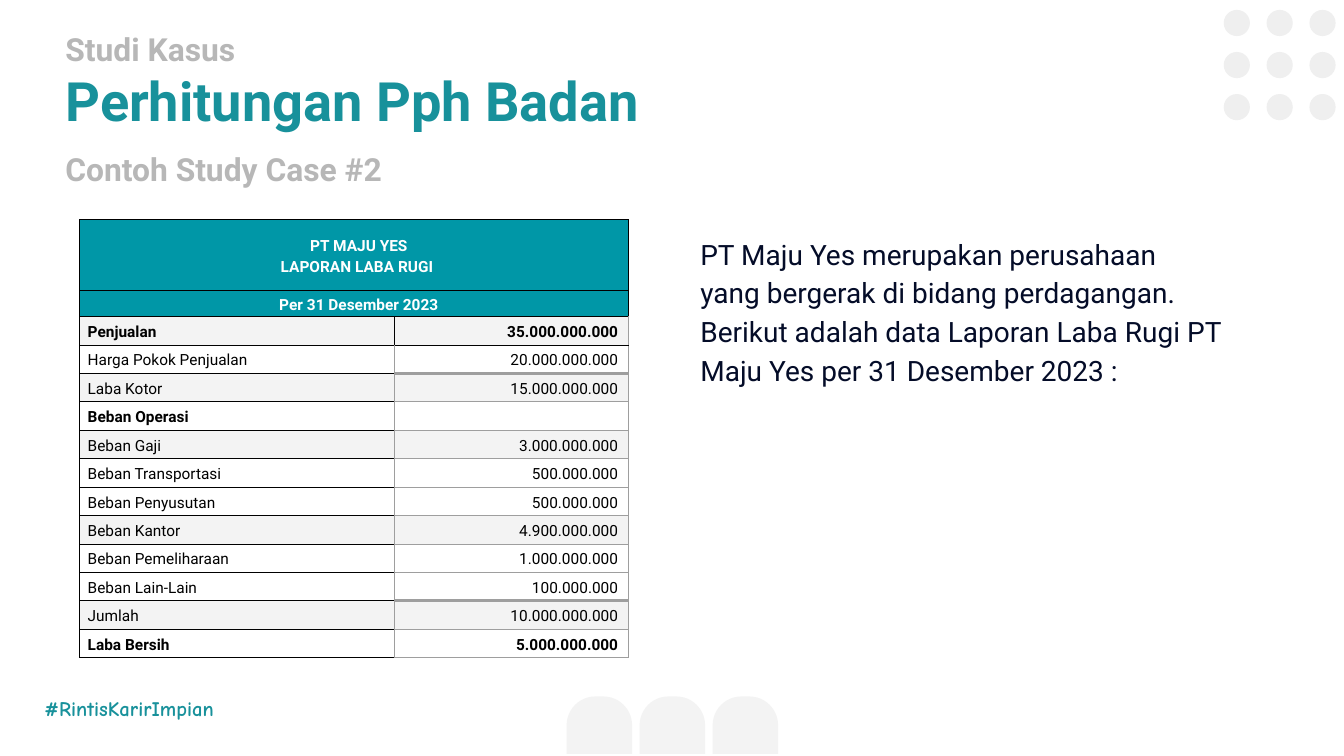
from lxml.etree import SubElement
from pptx import Presentation
from pptx.dml.color import RGBColor
from pptx.enum.shapes import MSO_SHAPE as SHAPE
from pptx.enum.text import MSO_ANCHOR as ANCHOR, MSO_AUTO_SIZE as AUTO, PP_ALIGN as ALIGN
from pptx.oxml.ns import qn
from pptx.util import Cm, Pt

TEAL = RGBColor(0x18, 0x91, 0x9B)
HEADER = RGBColor(0x00, 0x97, 0xA7)
GREY = RGBColor(0xB7, 0xB7, 0xB7)
NAVY = RGBColor(0x04, 0x0C, 0x28)
BLACK = RGBColor(0x00, 0x00, 0x00)
WHITE = RGBColor(0xFF, 0xFF, 0xFF)
SHADE = RGBColor(0xF3, 0xF3, 0xF3)
DOT = RGBColor(0xEF, 0xEF, 0xEF)
RULE = RGBColor(0x9E, 0x9E, 0x9E)


def write(sp, lines, auto=AUTO.SHAPE_TO_FIT_TEXT):
    """Fill a text frame with (text, size, colour, bold, font) lines."""
    tf = sp.text_frame
    tf.word_wrap, tf.auto_size = True, auto
    tf.margin_left = tf.margin_right = tf.margin_top = tf.margin_bottom = Cm(0.33)
    tf.vertical_anchor = ANCHOR.TOP
    tf.text = "\n".join(line[0] for line in lines)
    for p, (_, size, colour, bold, font) in zip(tf.paragraphs, lines):
        p.alignment = ALIGN.LEFT
        p.font.name, p.font.size, p.font.bold = font, Pt(size), bold
        p.font.color.rgb = colour
    return tf


def format_cell(cell, text, fill, colour, bold, align, indent, borders):
    """borders: (colour, points) for left, right, top and bottom."""
    cell.fill.solid()
    cell.fill.fore_color.rgb = fill
    cell.vertical_anchor = ANCHOR.MIDDLE
    cell.margin_left = cell.margin_top = cell.margin_bottom = 0
    cell.margin_right = Cm(0.25) if align == ALIGN.RIGHT else 0
    cell.text = text
    for p in cell.text_frame.paragraphs:
        p.alignment, p.line_spacing = align, 1.15
        p.font.name, p.font.size, p.font.bold = "Roboto", Pt(11), bold
        p.font.color.rgb = colour
        p._p.get_or_add_pPr().set("marL", str(indent))
        if not text:
            p._p.get_or_add_endParaRPr().set("sz", "1100")
    tcPr = cell._tc.get_or_add_tcPr()
    for i, (side, (line, width)) in enumerate(zip("LRTB", borders)):
        ln = SubElement(tcPr, qn(f"a:ln{side}"), w=str(Pt(width)))
        SubElement(SubElement(ln, qn("a:solidFill")), qn("a:srgbClr"), val=str(line))
        tcPr.insert(i, ln)


prs = Presentation()
prs.slide_width, prs.slide_height = Cm(33.87), Cm(19.05)
s = prs.slides.add_slide(prs.slide_layouts[5])

# Decoration: three tabs at the bottom, a 3 x 3 grid of dots at top right
tabs = [(SHAPE.ROUND_2_SAME_RECTANGLE, 14.28 + 1.84 * i, 17.55, 1.65, 1.45, SHADE)
        for i in range(3)]
dots = [(SHAPE.OVAL, 30.84 + 1.08 * col, 0.25 + 1.06 * row, 0.66, 0.66, DOT)
        for row in range(3) for col in range(3)]
for kind, x, y, w, h, colour in tabs + dots:
    sp = s.shapes.add_shape(kind, Cm(x), Cm(y), Cm(w), Cm(h))
    sp.shadow.inherit = False
    sp.fill.solid()
    sp.fill.fore_color.rgb = colour
    sp.line.fill.background()
    if kind == SHAPE.ROUND_2_SAME_RECTANGLE:
        sp.adjustments[0] = 0.5

# Title
title = s.shapes.title
title.left, title.top, title.width, title.height = Cm(1.32), Cm(0.41), Cm(29.21), Cm(3.3)
write(title, [("Studi Kasus", 22.7, GREY, True, "Roboto"),
              ("Perhitungan Pph Badan", 38.7, TEAL, True, "Roboto")])

# Subtitle and hashtag
subtitle = s.shapes.add_textbox(Cm(1.32), Cm(3.45), Cm(29.21), Cm(1.65))
write(subtitle, [("Contoh Study Case #2", 22.7, GREY, True, "Roboto")])
hashtag = s.shapes.add_textbox(Cm(0.79), Cm(17.22), Cm(5.31), Cm(1.32))
write(hashtag, [("#RintisKarirImpian", 14.7, TEAL, True, "Comic Neue")])

# Case description
case = s.shapes.add_textbox(Cm(17.32), Cm(6.4), Cm(13.82), Cm(2.8))
tf = write(case, [("PT Maju Yes merupakan perusahaan yang bergerak di bidang perdagangan. "
                   "Berikut adalah data Laporan Laba Rugi PT Maju Yes per 31 Desember 2023 :",
                   20, NAVY, False, "Roboto")], AUTO.NONE)
tf.vertical_anchor = ANCHOR.MIDDLE
tf.paragraphs[0].line_spacing = 1.15

# Income statement
headings = ["PT MAJU YES\nLAPORAN LABA RUGI ", "Per 31 Desember 2023"]
accounts = [
    ("Penjualan", "35.000.000.000"),
    ("Harga Pokok Penjualan", "20.000.000.000"),
    ("Laba Kotor", "15.000.000.000"),
    ("Beban Operasi", ""),
    ("Beban Gaji", "3.000.000.000"),
    ("Beban Transportasi", "500.000.000"),
    ("Beban Penyusutan", "500.000.000"),
    ("Beban Kantor", "4.900.000.000"),
    ("Beban Pemeliharaan", "1.000.000.000"),
    ("Beban Lain-Lain", "100.000.000"),
    ("Jumlah", "10.000.000.000"),
    ("Laba Bersih", "5.000.000.000"),
]
bold_rows = {"Penjualan", "Beban Operasi", "Laba Bersih"}
shaded_rows = {"Penjualan", "Laba Kotor", "Beban Gaji", "Beban Kantor", "Jumlah"}
total_rows = {"Laba Kotor", "Jumlah"}
black, thin, thick = (BLACK, 0.75), (RULE, 0.75), (RULE, 2.25)

frame = s.shapes.add_table(14, 2, Cm(2.01), Cm(5.54), Cm(13.82), Cm(11.03))
table = frame.table
table.first_row = table.horz_banding = False
for col, width in zip(table.columns, (7.92, 5.9)):
    col.width = Cm(width)
for row, height in zip(table.rows, [1.78, 0.66] + [0.716] * len(accounts)):
    row.height = Cm(height)

for r, heading in enumerate(headings):
    table.cell(r, 0).merge(table.cell(r, 1))
    for c, text in enumerate((heading, "")):
        format_cell(table.cell(r, c), text, HEADER, WHITE, True, ALIGN.CENTER,
                    Cm(0.25), [black] * 4)

for i, (name, amount) in enumerate(accounts):
    r = i + len(headings)
    fill = SHADE if name in shaded_rows else WHITE
    bold = name in bold_rows
    following = accounts[i + 1][0] if i + 1 < len(accounts) else ""
    top = thick if name in total_rows else thin
    bottom = thick if following in total_rows else thin
    sides = [thin, thin, top, bottom]
    if i == 0:
        sides = [black, thin, black, black]
    elif i == 1:
        sides[2] = black
    format_cell(table.cell(r, 0), name, fill, BLACK, bold, ALIGN.LEFT, Cm(0.2),
                [black, sides[0], black, black])
    format_cell(table.cell(r, 1), amount, fill, BLACK, bold, ALIGN.RIGHT, Cm(0.2), sides)

prs.save("out.pptx")
